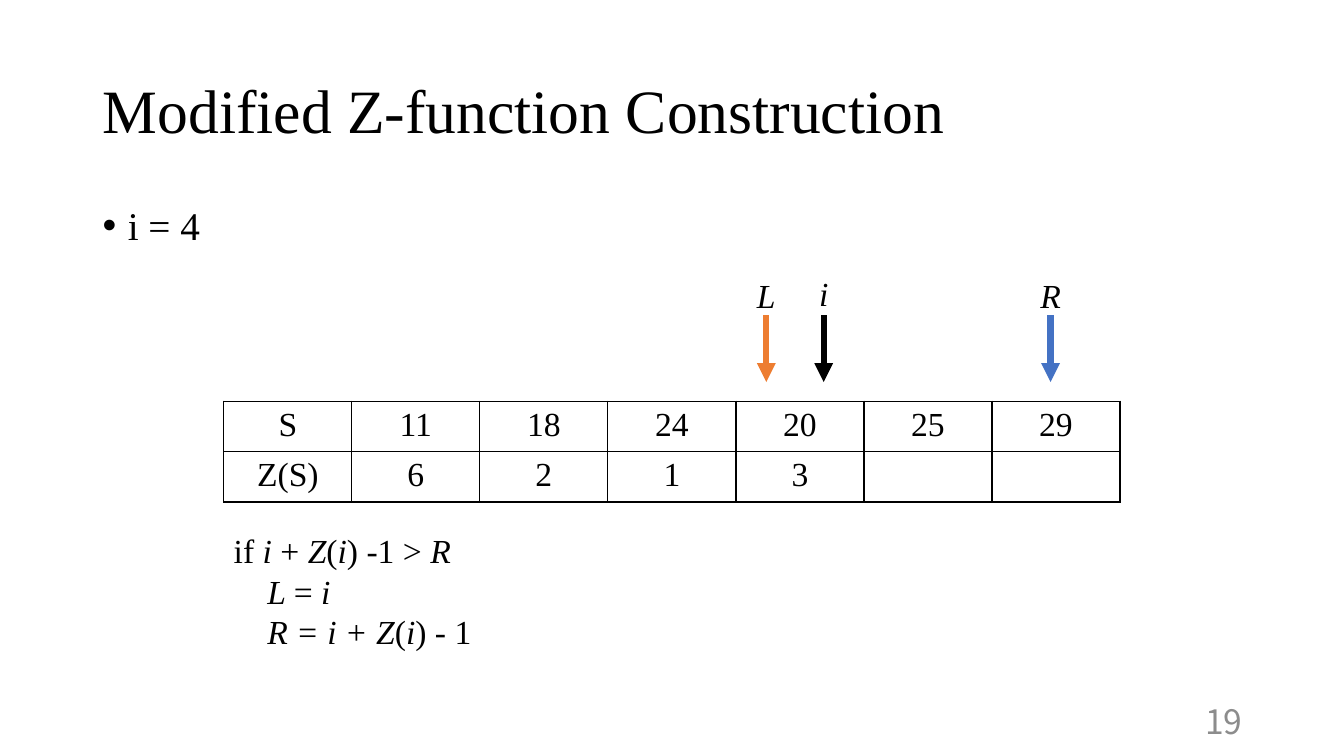
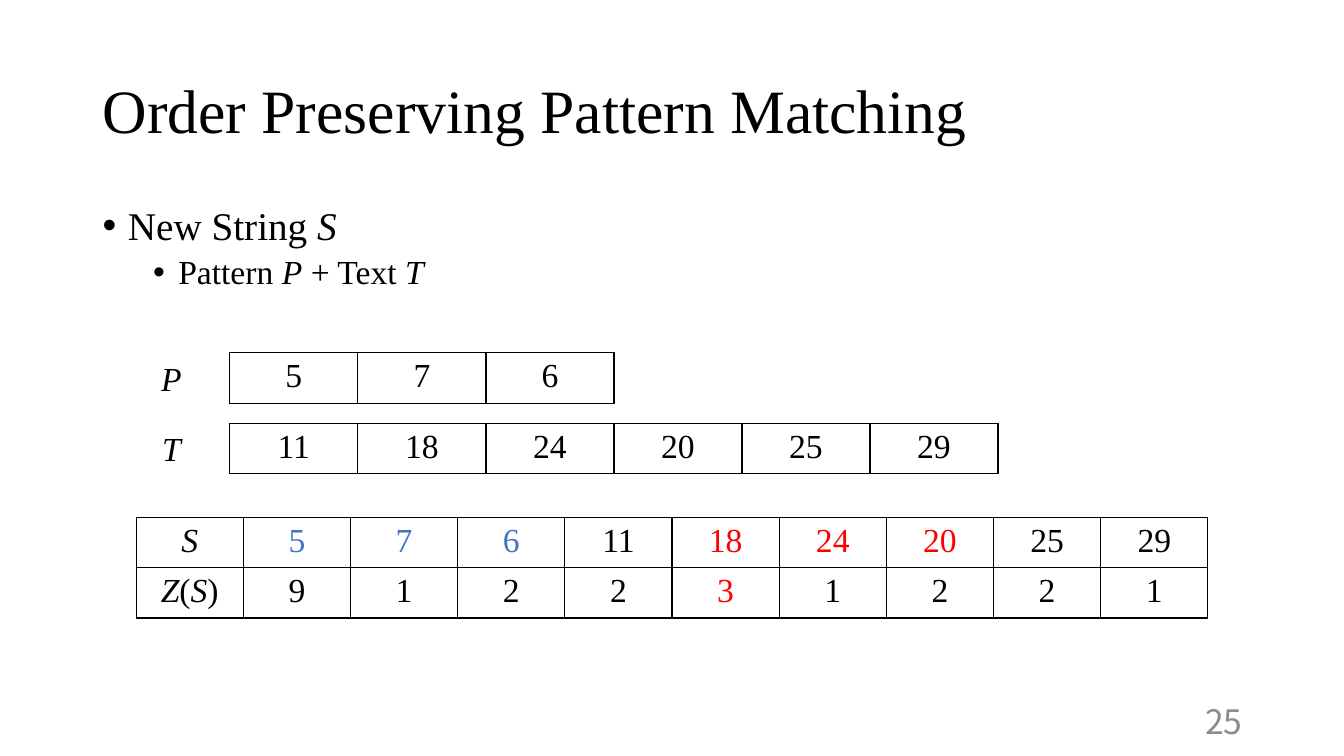
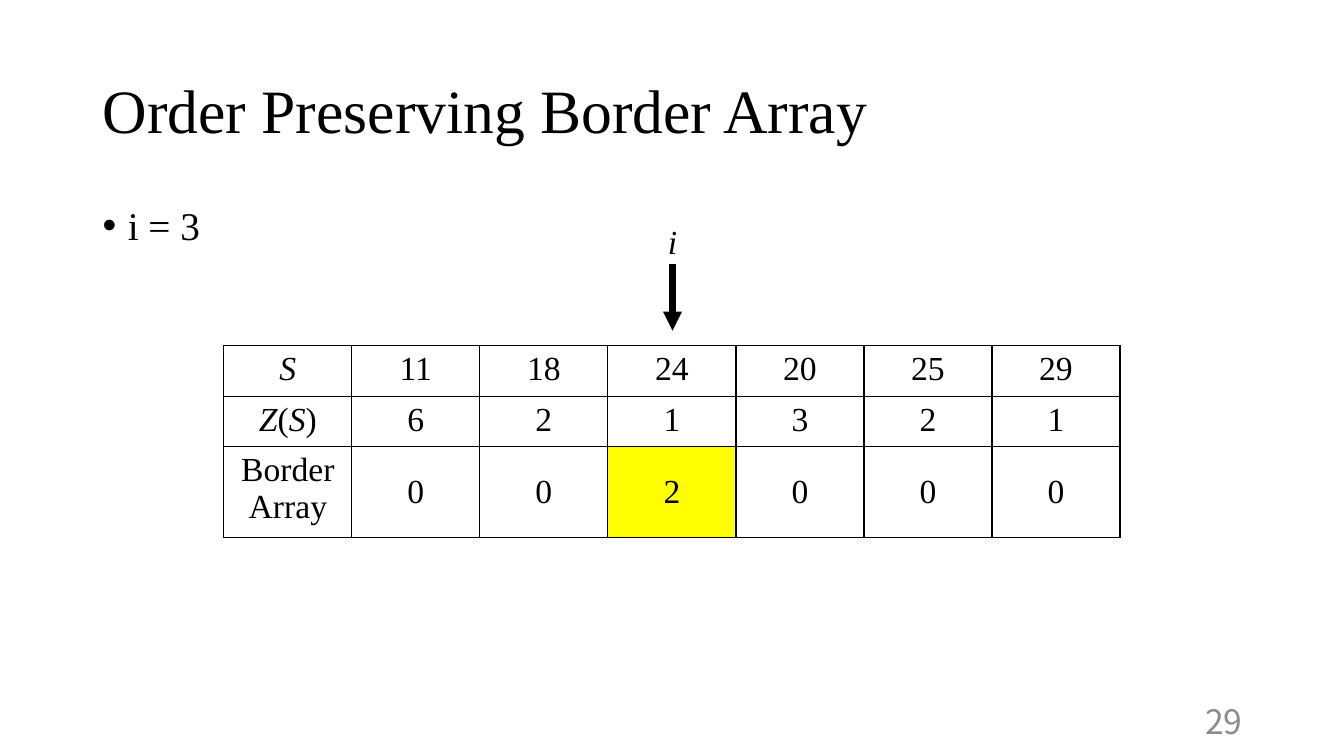
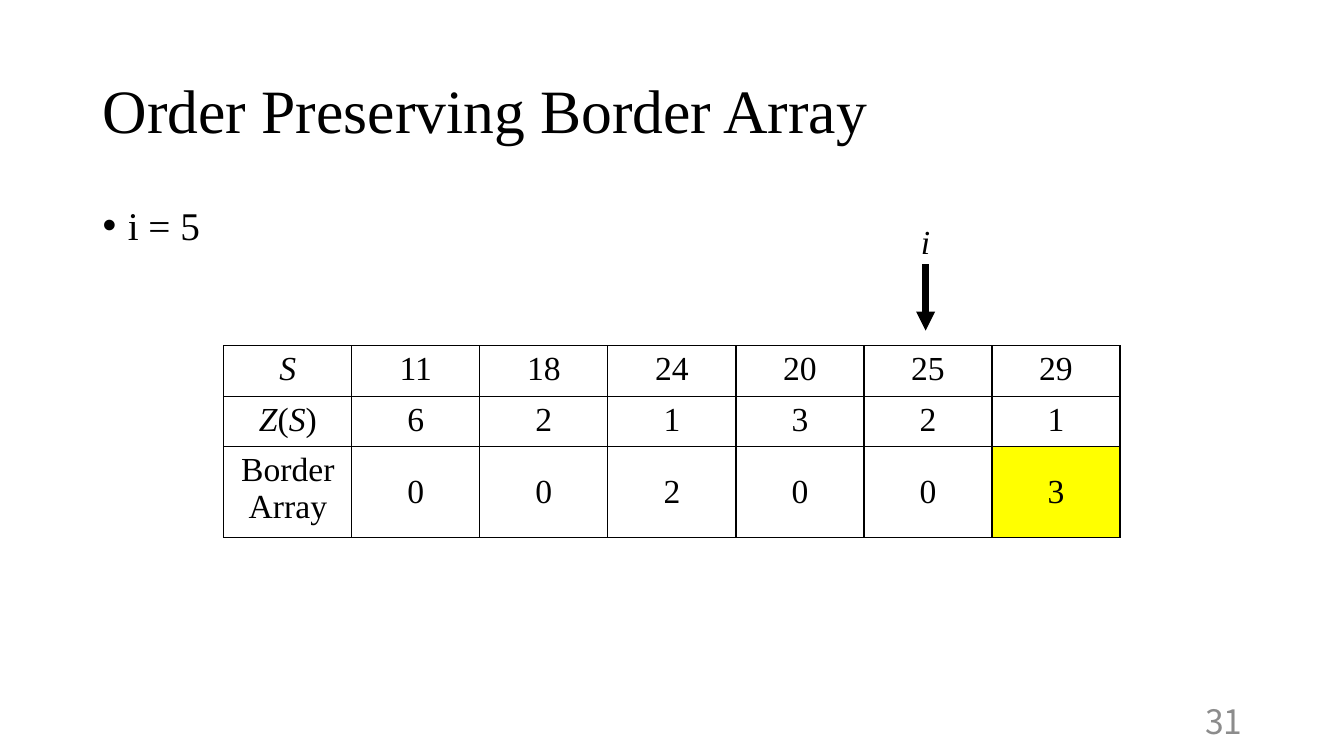
from pptx import Presentation
from pptx.dml.color import RGBColor
from pptx.enum.shapes import MSO_CONNECTOR as Conn
from pptx.enum.text import MSO_ANCHOR as Anchor, PP_ALIGN as Align
from pptx.oxml.ns import qn
from pptx.util import Inches, Pt
from lxml.etree import SubElement as sub

BLACK = RGBColor(0x00, 0x00, 0x00)
GRAY = RGBColor(0x8C, 0x8C, 0x8C)
BLUE = RGBColor(0x44, 0x72, 0xC4)
ORANGE = RGBColor(0xED, 0x7D, 0x31)
RED = RGBColor(0xFF, 0x00, 0x00)
YELLOW = RGBColor(0xFF, 0xFF, 0x00)
SERIF = "Times New Roman"
SANS = "Noto Sans CJK JP"
ROW = 0.47


class Deck:
    def __init__(self):
        self.file = Presentation()
        self.file.slide_width = Inches(13.33)
        self.file.slide_height = Inches(7.5)

    def page(self, title, number, items):
        self.slide = self.file.slides.add_slide(self.file.slide_layouts[6])
        head = self.text([title], 0.92, 0.4, 11.5, 1.45, size=44, anchor=Anchor.MIDDLE)
        head.paragraphs[0].line_spacing = 0.9
        self.points(items)
        self.text([str(number)], 9.42, 6.95, 3, 0.4, color=GRAY, font=SANS,
                  align=Align.RIGHT, anchor=Anchor.MIDDLE)

    def runs(self, para, text, size=24, color=BLACK, font=SERIF):
        for k, part in enumerate(text.split("*")):
            if part:
                run = para.add_run()
                run.text = part
                run.font.size = Pt(size)
                run.font.name = font
                run.font.italic = k % 2 == 1
                run.font.color.rgb = color

    def text(self, lines, x, y, w, h, size=24, color=BLACK, font=SERIF,
             align=Align.LEFT, anchor=Anchor.TOP):
        box = self.slide.shapes.add_textbox(Inches(x), Inches(y), Inches(w), Inches(h))
        frame = box.text_frame
        frame.word_wrap = True
        frame.vertical_anchor = anchor
        for k, line in enumerate(lines):
            para = frame.add_paragraph() if k else frame.paragraphs[0]
            para.alignment = align
            self.runs(para, line, size, color, font)
        return frame

    def points(self, items):
        frame = self.text([], 0.92, 2, 11.5, 4.76)
        for level, item in enumerate(items):
            para = frame.add_paragraph() if level else frame.paragraphs[0]
            props = para._p.get_or_add_pPr()
            props.set("marL", str(Inches(0.25 + 0.5 * level)))
            props.set("indent", str(Inches(-0.25)))
            sub(props, qn("a:buFont"), typeface="Arial")
            sub(props, qn("a:buChar"), char="•")
            para.level = level
            para.line_spacing = 0.9
            if level:
                para.space_before = Pt(5)
            self.runs(para, item, 28 - 4 * level)

    def edge(self, cell):
        props = cell._tc.get_or_add_tcPr()
        for side in ("lnL", "lnR", "lnT", "lnB"):
            line = sub(props, qn("a:" + side), w=str(Pt(1)))
            sub(sub(line, qn("a:solidFill")), qn("a:srgbClr"), val=str(BLACK))

    def table(self, rows, x, y, width=1.27, heights=None, tints={}, fills={}):
        heights = heights or [ROW] * len(rows)
        count = len(rows[0])
        grid = self.slide.shapes.add_table(
            len(rows), count, Inches(x), Inches(y),
            Inches(width * count), Inches(sum(heights))).table
        grid.first_row = grid.horz_banding = False
        for col in grid.columns:
            col.width = Inches(width)
        for r, row in enumerate(rows):
            grid.rows[r].height = Inches(heights[r])
            for c, value in enumerate(row):
                cell = grid.cell(r, c)
                self.edge(cell)
                if (r, c) in fills:
                    cell.fill.solid()
                    cell.fill.fore_color.rgb = fills[r, c]
                else:
                    cell.fill.background()
                if r == 2 and c:
                    cell.vertical_anchor = Anchor.MIDDLE
                para = cell.text_frame.paragraphs[0]
                para.alignment = Align.CENTER
                self.runs(para, str(value), color=tints.get((r, c), BLACK))

    def label(self, name, x, y):
        self.text([f"*{name}*"], x - 0.24, y, 0.48, 0.5, align=Align.CENTER)

    def mark(self, name, x, y, color=BLACK, lift=0.48):
        line = self.slide.shapes.add_connector(
            Conn.STRAIGHT, Inches(x), Inches(y), Inches(x), Inches(y + 0.66))
        line.line.color.rgb = color
        line.line.width = Pt(4.5)
        sub(line.line._get_or_add_ln(), qn("a:tailEnd"), type="triangle")
        sub(line._element.spPr, qn("a:effectLst"))
        self.label(name, x, y - lift)

    def border(self, number, index, x, values, hot):
        self.page("Order Preserving Border Array", number, [f"i = {index}"])
        rows = [["*S*"] + TEXT, ["*Z*(*S*)", 6, 2, 1, 3, 2, 1], ["Border Array"] + values]
        self.table(rows, 2.22, 3.43, heights=[ROW, ROW, 0.84], fills={(2, hot): YELLOW})
        self.mark("i", x, 2.62)


TEXT = [11, 18, 24, 20, 25, 29]
WORD = [5, 7, 6]


def main():
    deck = Deck()

    deck.page("Modified Z-function Construction", 19, ["i = 4"])
    deck.table([["S"] + TEXT, ["Z(S)", 6, 2, 1, 3, "", ""]], 2.22, 3.98)
    deck.mark("L", 7.6, 3.13, ORANGE, 0.45)
    deck.mark("R", 10.42, 3.13, BLUE, 0.45)
    deck.mark("i", 8.17, 3.13, lift=0.47)
    deck.text(["if *i* + *Z*(*i*) -1 > *R*",
               "*    L *= *i*",
               "*    R = i + Z*(*i*) - 1"], 2.22, 5.21, 2.83, 1.31)

    deck.page("Order Preserving Pattern Matching", 25,
              ["New String *S*", "Pattern *P* + Text *T*"])
    for name, row, y in (("P", WORD, 3.5), ("T", TEXT, 4.2)):
        deck.table([row], 2.28, y)
        deck.label(name, 1.7, y)
    tints = {(0, c): BLUE for c in (1, 2, 3)}
    tints.update({spot: RED for spot in ((0, 5), (0, 6), (0, 7), (1, 5))})
    deck.table([["*S*"] + WORD + TEXT, ["*Z*(*S*)", 9, 1, 2, 2, 3, 1, 2, 2, 1]],
               1.35, 5.13, width=1.063, heights=[0.5, 0.5], tints=tints)

    deck.border(29, 3, 6.67, [0, 0, 2, 0, 0, 0], 3)
    deck.border(31, 5, 9.18, [0, 0, 2, 0, 0, 3], 6)

    deck.file.save("out.pptx")


if __name__ == "__main__":
    main()
